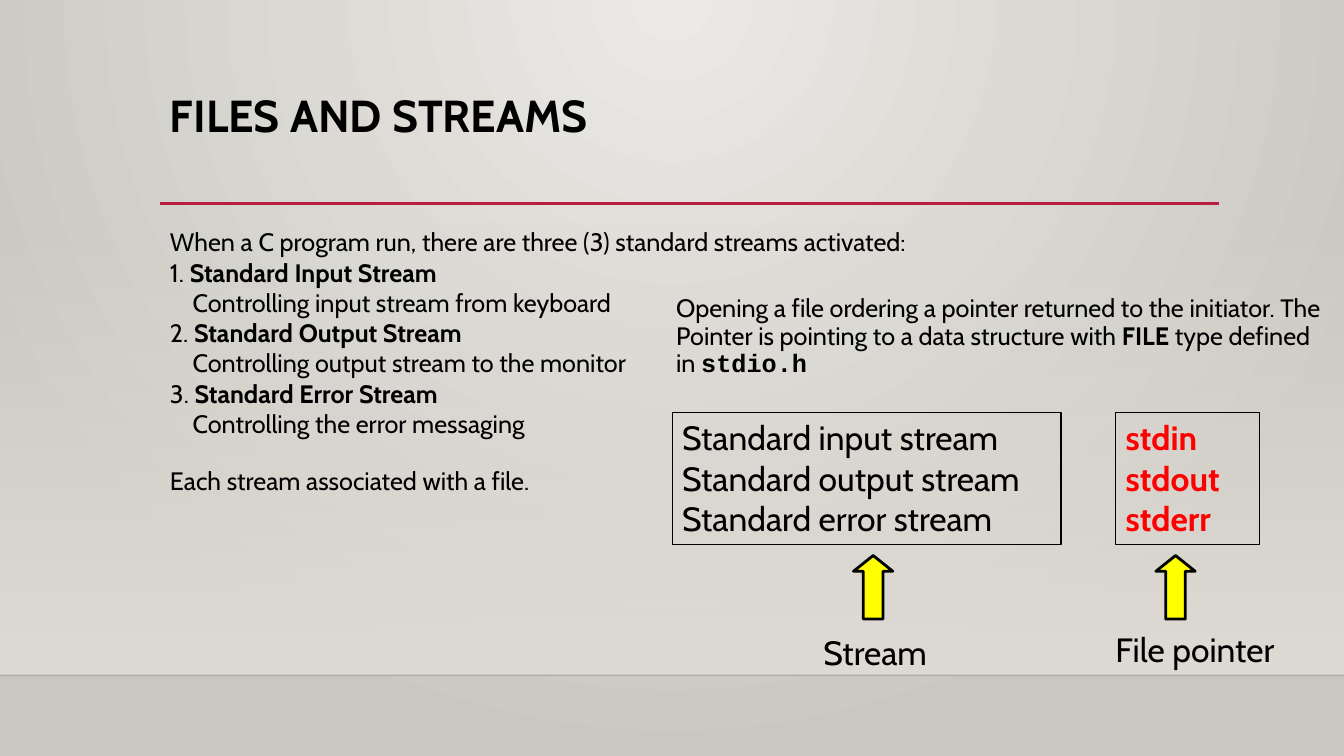
from lxml import etree
from pptx import Presentation
from pptx.dml.color import RGBColor
from pptx.enum.shapes import MSO_CONNECTOR, MSO_SHAPE
from pptx.enum.text import MSO_ANCHOR, MSO_AUTO_SIZE, PP_ALIGN
from pptx.oxml.ns import qn
from pptx.util import Cm, Pt

RECTANGLE, UP_ARROW = MSO_SHAPE.RECTANGLE, MSO_SHAPE.UP_ARROW
STRAIGHT = MSO_CONNECTOR.STRAIGHT
TOP, LEFT, NO_FIT = MSO_ANCHOR.TOP, PP_ALIGN.LEFT, MSO_AUTO_SIZE.NONE

FONT, CODE_FONT = "Cabin", "Courier New"
COLORS = {
    "text": "000000", "pointer": "FF0000", "arrow": "FFFF00", "rule": "B71E42",
    "floor": "000001", "band": "DFDBD5", "light": "ECEAE7", "dark": "CAC7C1",
}
SLIDE_WIDTH, SLIDE_HEIGHT = 33.87, 19.05

TITLE = "FILES AND STREAMS"
INTRO = "When a C program run, there are three (3) standard streams activated:"
STREAMS = [
    ("Standard Input Stream", "Controlling input stream from keyboard"),
    ("Standard Output Stream", "Controlling output stream to the monitor"),
    ("Standard Error Stream", "Controlling the error messaging"),
]
CLOSING = "Each stream associated with a file."
POINTER_NOTE = [
    ("Opening a file ordering a pointer returned to the initiator. "
     "The Pointer is pointing to a data structure with ", False, FONT),
    ("FILE", True, FONT),
    (" type defined in ", False, FONT),
    ("stdio.h", True, CODE_FONT),
]
COLUMNS = [
    {"lines": ["Standard input stream", "Standard output stream", "Standard error stream"],
     "color": "text", "bold": False, "left": 16.94, "width": 9.8,
     "arrow": 21.51, "label": "Stream", "label_at": (20.5, 15.8, 3.17)},
    {"lines": ["stdin", "stdout", "stderr"],
     "color": "pointer", "bold": True, "left": 28.12, "width": 3.63,
     "arrow": 29.13, "label": "File pointer", "label_at": (27.86, 15.72, 4.7)},
]


def rgb(name):
    return RGBColor.from_string(COLORS[name])


def format_span(span, size, bold=False, color="text", font=FONT):
    span.font.name = font
    span.font.size = Pt(size)
    span.font.bold = bold
    span.font.color.rgb = rgb(color)


def add_span(para, text, size, bold=False, font=FONT):
    span = para.add_run()
    span.text = text
    format_span(span, size, bold, font=font)


def place(shape, left, top, width, height):
    shape.left, shape.top = Cm(left), Cm(top)
    shape.width, shape.height = Cm(width), Cm(height)


def prepare_frame(shape, wrap=True):
    frame = shape.text_frame
    frame.word_wrap = wrap
    frame.auto_size = NO_FIT
    frame.vertical_anchor = TOP
    return frame


def fill_lines(shape, lines, size, bold=False, color="text", wrap=True):
    frame = prepare_frame(shape, wrap)
    frame.text = "\n".join(lines)
    for para in frame.paragraphs:
        para.alignment = LEFT
        for span in para.runs:
            format_span(span, size, bold, color)
    return frame


def add_alpha(color_element, percent):
    etree.SubElement(color_element, qn("a:alpha"), val=str(percent * 1000))


def gradient(stops):
    fill = etree.Element(qn("a:gradFill"), rotWithShape="1")
    stop_list = etree.SubElement(fill, qn("a:gsLst"))
    for position, color, opacity in stops:
        stop = etree.SubElement(stop_list, qn("a:gs"), pos=str(position * 1000))
        tone = etree.SubElement(stop, qn("a:srgbClr"), val=COLORS[color])
        if opacity < 100:
            add_alpha(tone, opacity)
    return fill


def replace_solid(parent, fill):
    solid = parent.find(qn("a:solidFill"))
    parent.replace(solid, fill)


def add_background(page):
    page.background.fill.solid()
    fill = gradient([(0, "light", 100), (100, "dark", 100)])
    circle = etree.SubElement(fill, qn("a:path"), path="circle")
    etree.SubElement(circle, qn("a:fillToRect"), l="43000", r="43000", b="100000")
    replace_solid(page.element.find(".//" + qn("p:bgPr")), fill)


def add_band(page):
    band = page.shapes.add_shape(RECTANGLE, 0, Cm(5.61), Cm(SLIDE_WIDTH), Cm(11.41))
    band.shadow.inherit = False
    band.line.fill.background()
    band.fill.solid()
    fill = gradient([(0, "band", 0), (100, "band", 100)])
    etree.SubElement(fill, qn("a:lin"), ang="5400000", scaled="0")
    replace_solid(band.element.spPr, fill)
    return band


def add_rule(page, left, right, top, color, width):
    rule = page.shapes.add_connector(STRAIGHT, Cm(left), Cm(top), Cm(right), Cm(top))
    rule.line.color.rgb = rgb(color)
    rule.line.width = Pt(width)
    etree.SubElement(rule.element.spPr, qn("a:effectLst"))
    return rule


def fill_body(body):
    frame = prepare_frame(body)
    rows = [([(INTRO, False)], 0, 0.9, 0)]
    for number, (name, detail) in enumerate(STREAMS, 1):
        rows.append(([(f"{number}. ", False), (name, True)], 0, 1.0, 0))
        rows.append(([(detail, False)], 0.57, 1.0, 0))
    rows.append(([(CLOSING, False)], 0, 0.9, 22))
    for index, (spans, indent, spacing, before) in enumerate(rows):
        para = frame.add_paragraph() if index else frame.paragraphs[0]
        para.line_spacing = spacing
        para.space_before, para.space_after = Pt(before), Pt(0)
        properties = para._p.get_or_add_pPr()
        properties.set("marL", str(Cm(indent)))
        properties.set("indent", "0")
        etree.SubElement(properties, qn("a:buNone"))
        for text, bold in spans:
            add_span(para, text, 18, bold)


def add_outlined(page, kind, left, top, width, height, line_width):
    shape = page.shapes.add_shape(kind, Cm(left), Cm(top), Cm(width), Cm(height))
    shape.shadow.inherit = False
    shape.fill.background()
    shape.line.color.rgb = rgb("text")
    shape.line.width = Pt(line_width)
    return shape


def add_column(page, column):
    box = add_outlined(page, RECTANGLE, column["left"], 10.39, column["width"], 3.33, 0.75)
    fill_lines(box, column["lines"], 24, column["bold"], column["color"])
    arrow = add_outlined(page, UP_ARROW, column["arrow"], 14, 0.99, 1.6, 2)
    arrow.fill.solid()
    arrow.fill.fore_color.rgb = rgb("arrow")
    arrow.adjustments[0], arrow.adjustments[1] = 0.5, 0.4
    left, top, width = column["label_at"]
    label = page.shapes.add_textbox(Cm(left), Cm(top), Cm(width), Cm(1.28))
    fill_lines(label, [column["label"]], 24, wrap=False)


def main():
    deck = Presentation()
    deck.slide_width, deck.slide_height = Cm(SLIDE_WIDTH), Cm(SLIDE_HEIGHT)
    page = deck.slides.add_slide(deck.slide_layouts[1])
    title, body = page.shapes.title, page.placeholders[1]

    add_background(page)
    band = add_band(page)
    floor = add_rule(page, 0, SLIDE_WIDTH, 17.02, "floor", 1)
    add_alpha(floor.element.spPr.find(".//" + qn("a:srgbClr")), 20)
    rule = add_rule(page, 4.03, 30.73, 5.13, "rule", 2.5)
    for backdrop in (band, floor, rule):
        title.element.addprevious(backdrop.element)

    place(title, 4.03, 2.24, 26.68, 2.92)
    fill_lines(title, [TITLE], 32, bold=True).paragraphs[0].line_spacing = 0.9
    place(body, 4.03, 5.66, 26.37, 7.04)
    fill_body(body)

    for column in COLUMNS:
        add_column(page, column)

    note = page.shapes.add_textbox(Cm(16.79), Cm(7.34), Cm(16.97), Cm(2.34))
    para = prepare_frame(note).paragraphs[0]
    para.line_spacing = 0.9
    for text, bold, font in POINTER_NOTE:
        add_span(para, text, 18, bold, font)

    deck.save("out.pptx")


if __name__ == "__main__":
    main()
